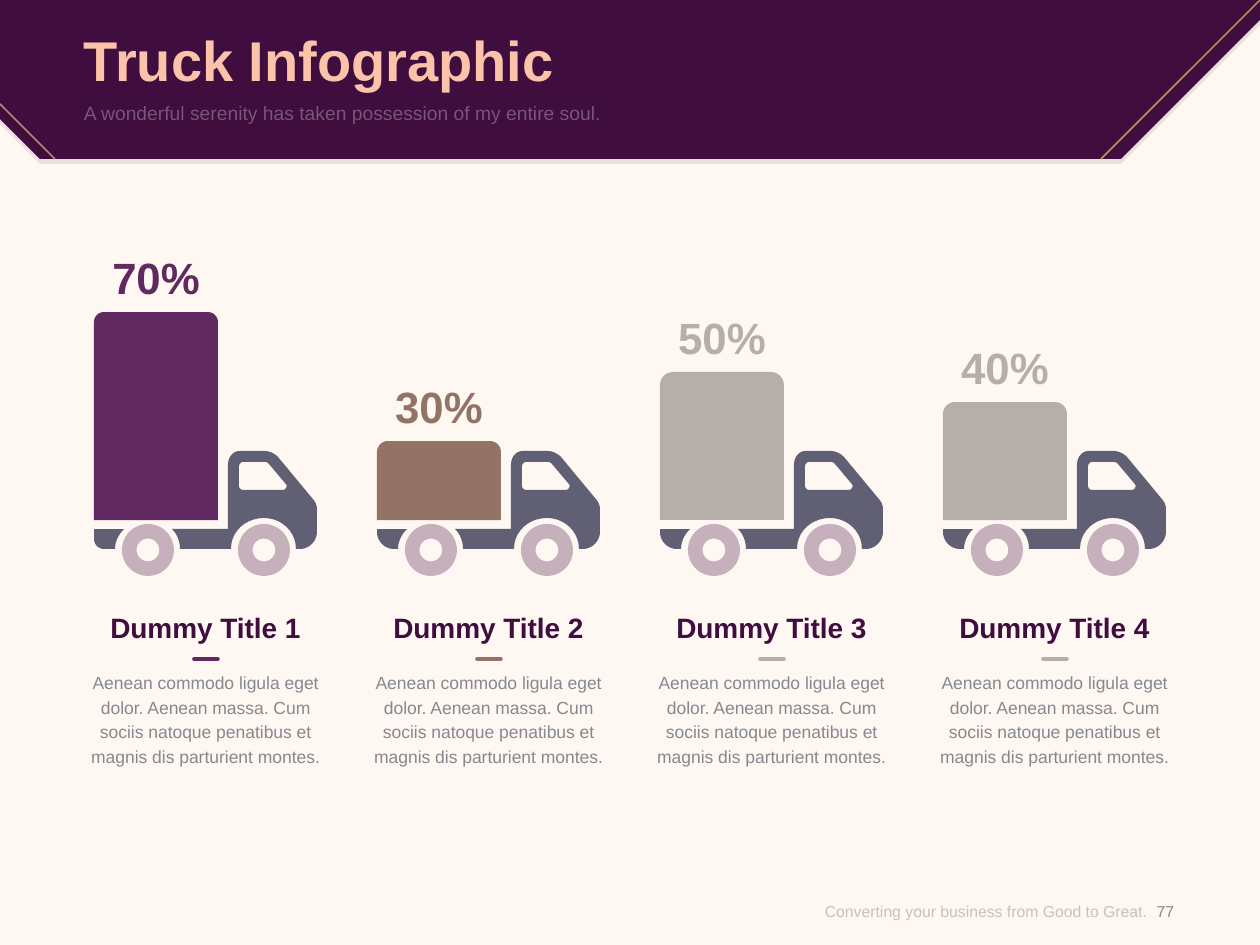
import pptx
import pptx.dml.color
import pptx.enum.shapes
import pptx.enum.text
import pptx.oxml.ns
import pptx.util
import lxml.etree

EMU_PER_PX = 914400 / 126
ALIGN = pptx.enum.text.PP_ALIGN
ANCHOR = pptx.enum.text.MSO_ANCHOR
AUTO_SIZE = pptx.enum.text.MSO_AUTO_SIZE
PRESET = pptx.enum.shapes.MSO_SHAPE

CREAM = "FFF7F2"
PLUM = "3F0D3E"
PEACH = "FBC4AA"
GOLD = "B98763"
SLATE = "605F73"
GREY = "85898F"

BANNER = [(1121, 159), (40, 159), (0, 119), (0, 0), (1260, 0), (1260, 20)]
CAB = [
    (88, 529), (93, 534, 96, 541, 96, 549), (147, 549),
    (147, 531, 162, 518, 180, 518), (197, 518, 212, 531, 212, 549), (216, 549),
    (225, 549, 233, 541, 233, 532), (233, 509), (233, 505, 231, 501, 228, 498),
    (194, 457), (190, 453, 185, 451, 180, 451), (156, 451),
    (149, 451, 144, 457, 144, 465), (144, 529),
]
WINDOW = [
    (155, 467), (155, 464, 157, 462, 159, 462), (181, 462),
    (183, 462, 184, 463, 185, 464), (201, 483), (203, 485, 203, 486, 202, 488),
    (201, 490, 199, 490, 197, 490), (159, 490), (157, 490, 155, 488, 155, 486),
]
DESCRIPTION = ("Aenean commodo ligula eget dolor. Aenean massa. Cum sociis "
               "natoque penatibus et magnis dis parturient montes.")
COLUMN_LEFT, COLUMN_PITCH, COLUMN_WIDTH = 84, 283, 243
LOAD_WIDTH, LOAD_BOTTOM = 124, 520
TRUCKS = [
    ("70%", 208, 10, 10, "602A60"),
    ("30%", 79, 11, 17, "927365"),
    ("50%", 148, 13, 17, "B6AEAB"),
    ("40%", 118, 12, 17, "B6AEAB"),
]


def px(length):
    return pptx.util.Emu(round(length * EMU_PER_PX))


def paint(fill, color, opacity=100):
    fill.solid()
    fill.fore_color.rgb = pptx.dml.color.RGBColor.from_string(color)
    if opacity < 100:
        color_element = fill._xPr.find(".//" + pptx.oxml.ns.qn("a:srgbClr"))
        alpha = lxml.etree.SubElement(color_element, pptx.oxml.ns.qn("a:alpha"))
        alpha.set("val", str(opacity * 1000))


def flatten(outline, left=0, top=0, steps=10):
    points = [outline[0]]
    for segment in outline[1:]:
        if len(segment) == 2:
            points.append(segment)
            continue
        x0, y0 = points[-1]
        x1, y1, x2, y2, x3, y3 = segment
        for step in range(1, steps + 1):
            t = step / steps
            a, b, c, d = (1 - t) ** 3, 3 * t * (1 - t) ** 2, 3 * t * t * (1 - t), t ** 3
            points.append((a * x0 + b * x1 + c * x2 + d * x3,
                           a * y0 + b * y1 + c * y2 + d * y3))
    return [(px(left + x), px(top + y)) for x, y in points]


class SlideBuilder:
    font_name = "Arial"

    def __init__(self, slide):
        self.slide = slide

    def finish(self, shape, color, opacity=100):
        shape.shadow.inherit = False
        paint(shape.fill, color, opacity)
        shape.line.fill.background()

    def freeform(self, outlines, color, left=0, top=0, opacity=100):
        contours = [flatten(outline, left, top) for outline in outlines]
        builder = self.slide.shapes.build_freeform(*contours[0][0])
        builder.add_line_segments(contours[0][1:])
        for contour in contours[1:]:
            builder.move_to(*contour[0])
            builder.add_line_segments(contour[1:])
        self.finish(builder.convert_to_shape(), color, opacity)

    def preset(self, kind, left, top, width, height, adjustments, color, opacity=100):
        shape = self.slide.shapes.add_shape(kind, px(left), px(top), px(width), px(height))
        for index, value in enumerate(adjustments):
            shape.adjustments[index] = value
        self.finish(shape, color, opacity)

    def line(self, x1, y1, x2, y2, color, width=1, cap="flat"):
        connector = self.slide.shapes.add_connector(
            pptx.enum.shapes.MSO_CONNECTOR.STRAIGHT, px(x1), px(y1), px(x2), px(y2))
        connector.line.width = pptx.util.Pt(width)
        paint(connector.line.fill, color)
        connector.line._get_or_add_ln().set("cap", cap)
        lxml.etree.SubElement(connector._element.spPr, pptx.oxml.ns.qn("a:effectLst"))

    def set_text(self, shape, text, size, color, align, bold=False, opacity=100,
                 anchor=ANCHOR.TOP, spacing=None, auto_size=AUTO_SIZE.NONE):
        frame = shape.text_frame
        frame.word_wrap = True
        frame.auto_size = auto_size
        frame.vertical_anchor = anchor
        frame.margin_left = frame.margin_right = frame.margin_top = frame.margin_bottom = 0
        frame.text = text
        paragraph = frame.paragraphs[0]
        paragraph.alignment = align
        if spacing:
            paragraph.line_spacing = pptx.util.Pt(spacing)
        font = paragraph.font
        font.name, font.size, font.bold = self.font_name, pptx.util.Pt(size), bold
        paint(font.fill, color, opacity)
        return paragraph

    def text(self, left, top, width, height, text, size, color, align=ALIGN.CENTER, **style):
        shape = self.slide.shapes.add_textbox(px(left), px(top), px(width), px(height))
        self.set_text(shape, text, size, color, align, **style)

    def placeholder(self, index, left, top, width, height, text, size, color, **style):
        shape = self.slide.placeholders[index]
        shape.left, shape.top, shape.width, shape.height = map(px, (left, top, width, height))
        paragraph = self.set_text(shape, text, size, color, ALIGN.LEFT, **style)
        paragraph.space_before = pptx.util.Pt(0)
        properties = paragraph._p.get_or_add_pPr()
        properties.set("marL", "0")
        properties.set("indent", "0")
        bullet = lxml.etree.Element(pptx.oxml.ns.qn("a:buNone"))
        properties.find(pptx.oxml.ns.qn("a:defRPr")).addprevious(bullet)
        self.slide.shapes._spTree.append(shape._element)

    def truck(self, left, label, load_height, load_radius, corner, color):
        load_top = LOAD_BOTTOM - load_height
        self.text(left + 14, load_top - 61, 116, 53, label, 25, color, bold=True,
                  auto_size=AUTO_SIZE.SHAPE_TO_FIT_TEXT)
        near = 0.45 * corner
        chassis = [(10, 529), (10, 549 - corner),
                   (10, 549 - near, 10 + near, 549, 10 + corner, 549),
                   (31, 549), (31, 541, 35, 534, 40, 529)]
        self.freeform([chassis], SLATE, left)
        self.freeform([CAB, WINDOW], SLATE, left)
        for wheel_left in (38, 154):
            self.preset(PRESET.DONUT, left + wheel_left, 524, 52, 52, [0.28], PLUM, 30)
        radius = load_radius / min(LOAD_WIDTH, load_height)
        self.preset(PRESET.ROUND_2_SAME_RECTANGLE, left + 10, load_top,
                    LOAD_WIDTH, load_height, [radius, 0], color)

    def caption(self, left, title, color):
        self.text(left, 611, COLUMN_WIDTH, 34, title, 16, PLUM, bold=True,
                  auto_size=AUTO_SIZE.SHAPE_TO_FIT_TEXT)
        self.line(left + 110, 659, left + 134, 659, color, 2, "rnd")
        self.text(left, 669, COLUMN_WIDTH, 100, DESCRIPTION, 10, GREY, spacing=14,
                  auto_size=AUTO_SIZE.SHAPE_TO_FIT_TEXT)


def main():
    presentation = pptx.Presentation()
    presentation.slide_width, presentation.slide_height = px(1260), px(945)
    slide = presentation.slides.add_slide(presentation.slide_layouts[1])
    paint(slide.background.fill, CREAM)
    builder = SlideBuilder(slide)

    builder.freeform([BANNER], PLUM, top=5, opacity=10)
    builder.freeform([BANNER], PLUM)
    builder.line(1260, 0, 1101, 159, GOLD)
    builder.line(0, 104, 55, 159, GOLD)
    builder.placeholder(0, 84, 18, 1091, 82, "Truck Infographic", 32, PEACH,
                        bold=True, anchor=ANCHOR.MIDDLE)
    builder.placeholder(1, 84, 101, 1091, 49,
                        "A wonderful serenity has taken possession of my entire soul.",
                        11, "FFFFFF", opacity=30)

    for index, (label, height, radius, corner, color) in enumerate(TRUCKS):
        left = COLUMN_LEFT + index * COLUMN_PITCH
        builder.truck(left, label, height, radius, corner, color)
        builder.caption(left, f"Dummy Title {index + 1}", color)

    builder.text(761, 877, 386, 68, "Converting your business from Good to Great.",
                 9, "8C8C8C", ALIGN.RIGHT, opacity=50, anchor=ANCHOR.MIDDLE)
    builder.text(1136, 877, 59, 68, "77", 9, GREY, anchor=ANCHOR.MIDDLE)
    presentation.save("out.pptx")


if __name__ == "__main__":
    main()
